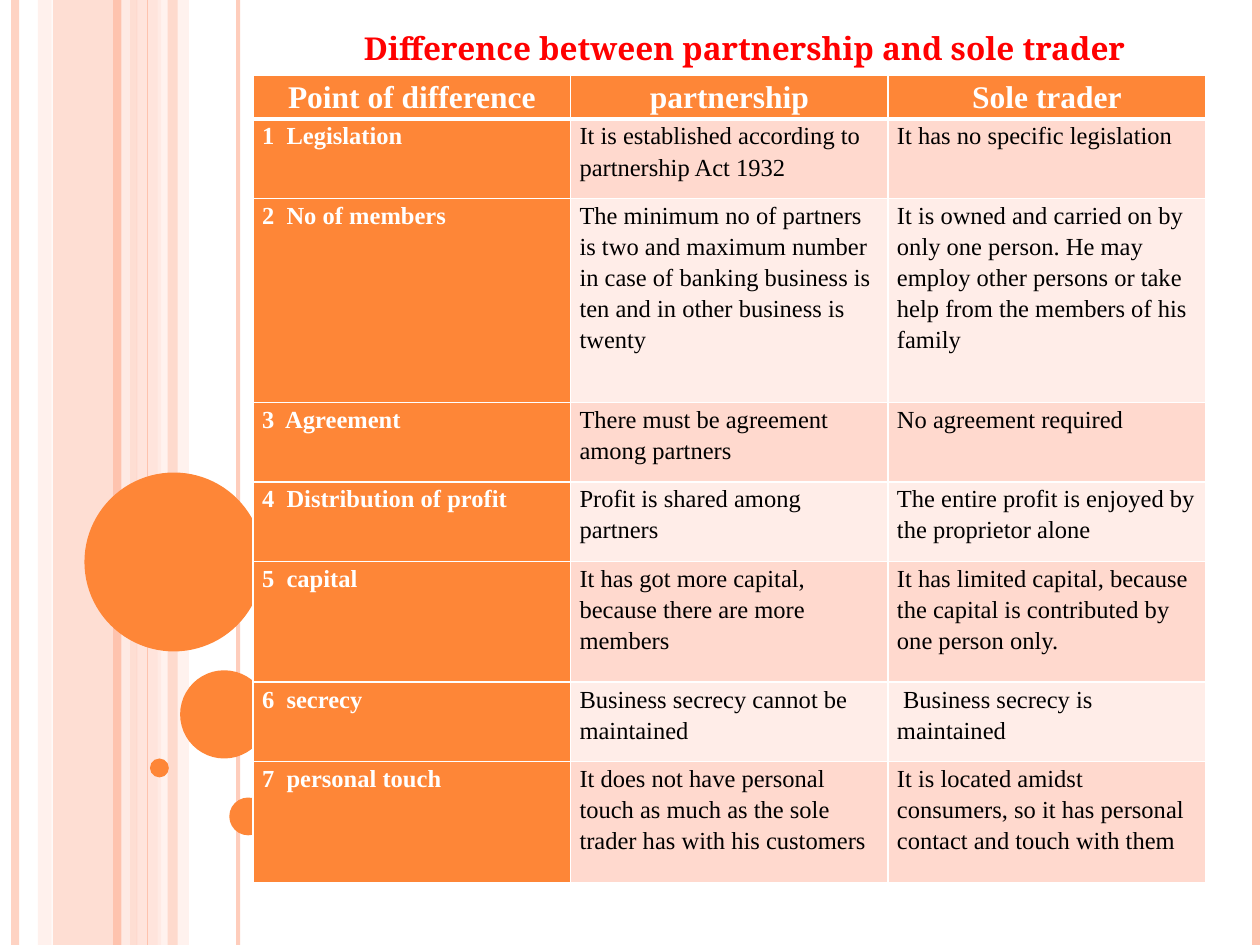
from typing import NamedTuple, Optional

from lxml import etree
from pptx import Presentation
from pptx import util as u
from pptx.dml.color import RGBColor
from pptx.enum import shapes, text
from pptx.oxml import ns

ORANGE, PEACH, LIGHT, PALE = "FE8637", "FEC3AE", "FFD9CE", "FFEDE8"
WHITE, BLACK, RED = "FFFFFF", "000000", "FF0000"
SLIDE_HEIGHT = 7.5
TABLE_LEFT, TABLE_TOP, COLUMN_WIDTH = 2.01, 0.6, 2.52


class Band(NamedTuple):
    left: float
    width: float
    color: str
    opacity: int


class Stripe(NamedTuple):
    x: float
    points: float
    color: str
    opacity: Optional[int] = None


class Circle(NamedTuple):
    left: float
    top: float
    diameter: float


class Row(NamedTuple):
    height: float
    point: str
    partnership: str
    sole_trader: str


BANDS = [
    Band(0.42, 0.67, PEACH, 54),
    Band(0.3, 0.11, LIGHT, 36),
    Band(1.08, 0.2, LIGHT, 70),
    Band(1.25, 0.25, PALE, 71),
]
STRIPES = [
    Stripe(0.12, 4.5, PEACH, 73),
    Stripe(1, 4.5, PALE, 83),
    Stripe(0.93, 4.5, PEACH),
    Stripe(1.89, 2.25, PEACH, 82),
    Stripe(1.17, 0.75, PEACH),
    Stripe(9.97, 4.5, PEACH),
]
FRONT_BAND = Band(1.33, 0.08, PEACH, 51)
CIRCLES = [
    Circle(0.67, 3.75, 1.42),
    Circle(1.43, 5.32, 0.7),
    Circle(1.19, 6.02, 0.15),
    Circle(1.82, 6.33, 0.3),
    Circle(2.08, 4.92, 0.4),
]
ROWS = [
    Row(0.33, "Point of difference", "partnership", "Sole trader"),
    Row(0.63, "1  Legislation",
        "It is established according to partnership Act 1932",
        "It has no specific legislation"),
    Row(1.62, "2  No of members",
        "The minimum no of partners is two and maximum number in case of "
        "banking business is ten and in other business is twenty",
        "It is owned and carried on by only one person. He may employ other "
        "persons or take help from the members of his family"),
    Row(0.63, "3  Agreement",
        "There must be agreement among partners",
        "No agreement required"),
    Row(0.63, "4  Distribution of profit",
        "Profit is shared among partners",
        "The entire profit is enjoyed by the proprietor alone"),
    Row(0.96, "5  capital",
        "It has got more capital, because there are more members",
        "It has limited capital, because the capital is contributed by one "
        "person only."),
    Row(0.63, "6  secrecy",
        "Business secrecy cannot be maintained",
        " Business secrecy is maintained"),
    Row(0.96, "7  personal touch",
        "It does not have personal touch as much as the sole trader has with "
        "his customers",
        "It is located amidst consumers, so it has personal contact and touch "
        "with them"),
]


def paint(fill, color: str, opacity: Optional[int] = None) -> None:
    """Give a fill a solid colour, with opacity in percent."""
    fill.solid()
    fill.fore_color.rgb = RGBColor.from_string(color)
    if opacity is not None:
        value = fill._xPr.find(".//" + ns.qn("a:srgbClr"))
        etree.SubElement(value, ns.qn("a:alpha"), val=str(opacity * 1000))


def add_plain_shape(slide, kind, left: float, top: float, width: float,
                    height: float, color: str,
                    opacity: Optional[int] = None) -> None:
    shape = slide.shapes.add_shape(kind, u.Inches(left), u.Inches(top),
                                   u.Inches(width), u.Inches(height))
    shape.shadow.inherit = False
    paint(shape.fill, color, opacity)
    shape.line.fill.background()


def add_band(slide, band: Band) -> None:
    add_plain_shape(slide, shapes.MSO_SHAPE.RECTANGLE, band.left, 0,
                    band.width, SLIDE_HEIGHT, band.color, band.opacity)


def add_stripe(slide, stripe: Stripe) -> None:
    x = u.Inches(stripe.x)
    line = slide.shapes.add_connector(shapes.MSO_CONNECTOR.STRAIGHT, x, 0, x,
                                      u.Inches(SLIDE_HEIGHT))
    line.line.width = u.Pt(stripe.points)
    paint(line.line.fill, stripe.color, stripe.opacity)
    etree.SubElement(line._element.spPr, ns.qn("a:effectLst"))


def add_circle(slide, circle: Circle) -> None:
    add_plain_shape(slide, shapes.MSO_SHAPE.OVAL, circle.left, circle.top,
                    circle.diameter, circle.diameter, ORANGE)


def style_font(font, name: str, size: float, color: str, bold: bool) -> None:
    font.name, font.size, font.bold = name, u.Pt(size), bold
    font.color.rgb = RGBColor.from_string(color)


def add_title(slide, title: str) -> None:
    frame = slide.shapes.add_textbox(u.Inches(2.01), u.Inches(0.21),
                                     u.Inches(7.8), u.Inches(6.77)).text_frame
    frame.word_wrap = True
    frame.margin_top = u.Inches(0.02)
    paragraph = frame.paragraphs[0]
    paragraph.text = title
    paragraph.alignment = text.PP_ALIGN.CENTER
    style_font(paragraph.font, "Noto Serif", 18, RED, True)


def set_borders(cell, top: float, bottom: float) -> None:
    """Draw white borders, with top and bottom widths in points."""
    properties = cell._tc.get_or_add_tcPr()
    for side, points in (("L", 1), ("R", 1), ("T", top), ("B", bottom)):
        border = etree.SubElement(properties, ns.qn(f"a:ln{side}"),
                                  w=str(u.Pt(points)))
        fill = etree.SubElement(border, ns.qn("a:solidFill"))
        etree.SubElement(fill, ns.qn("a:srgbClr"), val=WHITE)


def fill_cell(cell, words: str, row: int, column: int) -> None:
    is_header = row == 0
    is_heading = is_header or column == 0
    set_borders(cell, top=3 if row == 1 else 1, bottom=3 if is_header else 1)
    paint(cell.fill, ORANGE if is_heading else LIGHT if row % 2 else PALE)
    cell.margin_left = cell.margin_right = u.Inches(0.07)
    cell.margin_top = cell.margin_bottom = 0
    paragraph = cell.text_frame.paragraphs[0]
    paragraph.text = words
    paragraph.line_spacing = 1.15
    paragraph.alignment = (text.PP_ALIGN.CENTER if is_header
                           else text.PP_ALIGN.LEFT)
    style_font(paragraph.font, "Times New Roman", 18 if is_header else 14,
               WHITE if is_heading else BLACK, is_heading)


def add_comparison_table(slide, rows: list[Row]) -> None:
    columns = len(rows[0]) - 1
    table = slide.shapes.add_table(
        len(rows), columns, u.Inches(TABLE_LEFT), u.Inches(TABLE_TOP),
        u.Inches(columns * COLUMN_WIDTH),
        u.Inches(sum(row.height for row in rows))).table
    for column in table.columns:
        column.width = u.Inches(COLUMN_WIDTH)
    for row_index, (height, *cells) in enumerate(rows):
        table.rows[row_index].height = u.Inches(height)
        for column_index, words in enumerate(cells):
            fill_cell(table.cell(row_index, column_index), words,
                      row_index, column_index)


def main() -> None:
    presentation = Presentation()
    presentation.slide_width = u.Inches(10)
    presentation.slide_height = u.Inches(SLIDE_HEIGHT)
    slide = presentation.slides.add_slide(presentation.slide_layouts[6])
    for band in BANDS:
        add_band(slide, band)
    for stripe in STRIPES:
        add_stripe(slide, stripe)
    add_band(slide, FRONT_BAND)
    for circle in CIRCLES:
        add_circle(slide, circle)
    add_title(slide, "Difference between partnership and sole trader")
    add_comparison_table(slide, ROWS)
    presentation.save("out.pptx")


if __name__ == "__main__":
    main()
